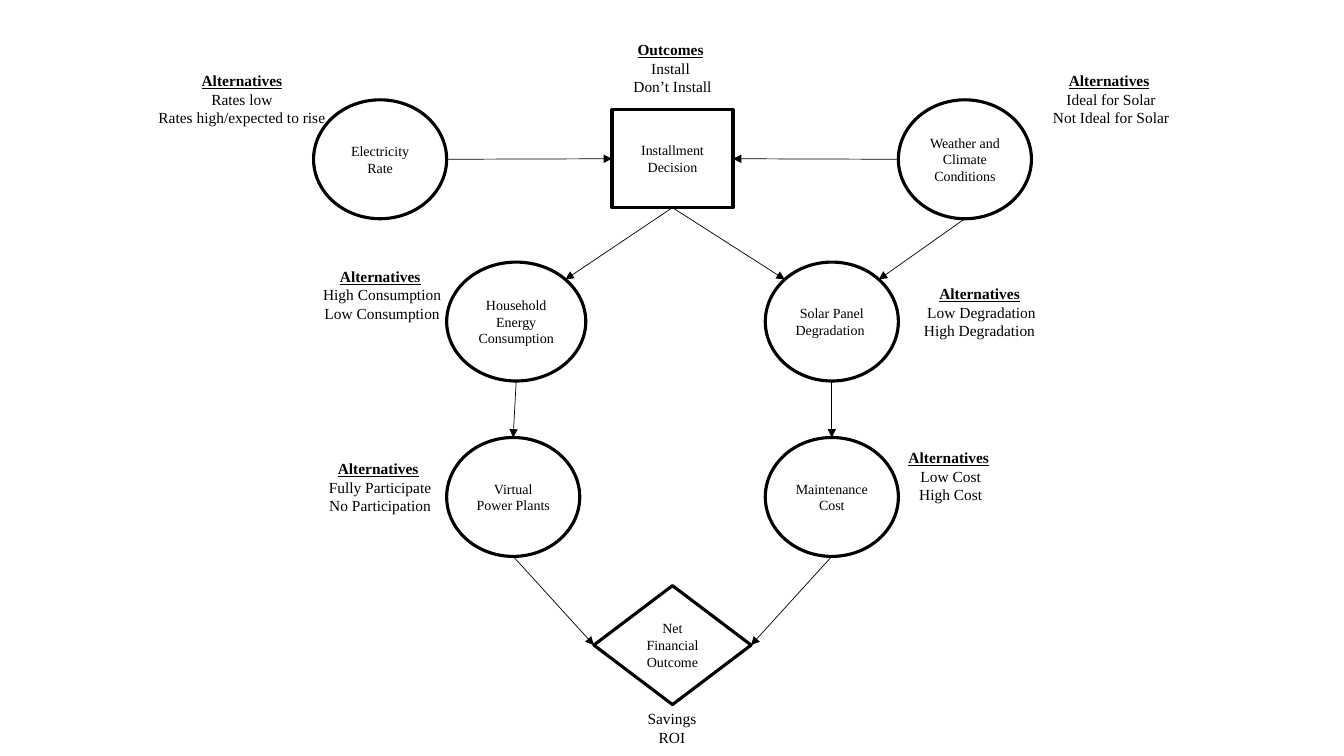
from math import hypot

from lxml import etree
from pptx import Presentation
from pptx import util as u
from pptx.dml.color import RGBColor
from pptx.enum import shapes, text
from pptx.oxml import ns

INK = {"line": "000000", "fill": "FFFFFF", "text": "000000"}
FONT = "Times New Roman"
KIND = shapes.MSO_SHAPE

# name: (kind, left, top, width, height, label)
NODES = {
    "rate": (KIND.OVAL, 3.11, 0.99, 1.32, 1.18, "Electricity Rate"),
    "choice": (KIND.RECTANGLE, 6.07, 1.09, 1.2, 0.97, "Installment Decision"),
    "weather": (KIND.OVAL, 8.91, 0.99, 1.32, 1.18,
                "Weather and Climate Conditions"),
    "panel": (KIND.OVAL, 7.59, 2.6, 1.32, 1.18, "Solar Panel Degradation "),
    "house": (KIND.OVAL, 4.43, 2.6, 1.38, 1.18, "Household Energy Consumption"),
    "plant": (KIND.OVAL, 4.43, 4.34, 1.32, 1.18, "Virtual Power Plants"),
    "cost": (KIND.OVAL, 7.59, 4.34, 1.32, 1.18, "Maintenance Cost"),
    "net": (KIND.DIAMOND, 5.89, 5.81, 1.56, 1.18, "Net Financial Outcome"),
}

# from node and side, to node and side; a side is (x, y) with y downwards
LEFT, RIGHT, TOP, BASE = (-1, 0), (1, 0), (0, -1), (0, 1)
LINKS = [
    ("rate", RIGHT, "choice", LEFT),
    ("weather", LEFT, "choice", RIGHT),
    ("choice", BASE, "house", (1, -1)),
    ("choice", BASE, "panel", (-1, -1)),
    ("weather", BASE, "panel", (1, -1)),
    ("house", BASE, "plant", TOP),
    ("panel", BASE, "cost", TOP),
    ("plant", BASE, "net", LEFT),
    ("cost", BASE, "net", RIGHT),
]

# left, top, width, height, heading, space after the heading, lines
NOTES = [
    (1.47, 0.66, 1.86, 0.66, "Alternatives", "",
     ["Rates low", "Rates high/expected to rise"]),
    (6.18, 0.35, 0.98, 0.66, "Outcomes", " ", ["Install ", "Don’t Install"]),
    (10.34, 0.66, 1.36, 0.66, "Alternatives", " ",
     ["Ideal for Solar", "Not Ideal for Solar"]),
    (3.1, 2.6, 1.38, 0.66, "Alternatives", " ",
     ["High Consumption", "Low Consumption"]),
    (8.91, 4.4, 1.04, 0.66, "Alternatives", " ", ["Low Cost", "High Cost"]),
    (3.16, 4.51, 1.22, 0.66, "Alternatives", " ",
     ["Fully Participate", "No Participation"]),
    (9.06, 2.77, 1.35, 0.66, "Alternatives", " ",
     ["Low Degradation", "High Degradation "]),
    (6.32, 6.99, 0.69, 0.47, "", "", ["Savings", "ROI"]),
]


def tint(name):
    return RGBColor.from_string(INK[name])


def add_run(para, words, size, strong=False):
    run = para.add_run()
    run.text = words
    font = run.font
    font.name, font.size = FONT, u.Pt(size)
    font.bold = font.underline = strong
    font.color.rgb = tint("text")


def add_node(slide, kind, left, top, width, height, label):
    node = slide.shapes.add_shape(
        kind, *map(u.Inches, (left, top, width, height)))
    node.shadow.inherit = False
    node.fill.solid()
    node.fill.fore_color.rgb = tint("fill")
    node.line.color.rgb = tint("line")
    node.line.width = u.Pt(2.25)
    frame = node.text_frame
    frame.word_wrap = True
    frame.vertical_anchor = text.MSO_ANCHOR.MIDDLE
    para = frame.paragraphs[0]
    para.alignment = text.PP_ALIGN.CENTER
    add_run(para, label, 10)


def find_edge(name, side):
    """Return the point on a node's outline that lies towards a side."""
    left, top, width, height = NODES[name][1:5]
    reach = hypot(*side)
    return (u.Inches(left + width / 2 * (1 + side[0] / reach)),
            u.Inches(top + height / 2 * (1 + side[1] / reach)))


def add_link(slide, start, exit_side, end, entry):
    link = slide.shapes.add_connector(
        shapes.MSO_CONNECTOR.STRAIGHT,
        *find_edge(start, exit_side), *find_edge(end, entry))
    link.line.color.rgb = tint("line")
    link.line.width = u.Pt(0.5)
    etree.SubElement(link.line._get_or_add_ln(), ns.qn("a:tailEnd"),
                     type="triangle")
    etree.SubElement(link._element.spPr, ns.qn("a:effectLst"))


def add_note(slide, left, top, width, height, head, gap, lines):
    box = slide.shapes.add_textbox(
        *map(u.Inches, (left, top, width, height)))
    frame = box.text_frame
    frame.word_wrap = False
    frame.auto_size = text.MSO_AUTO_SIZE.SHAPE_TO_FIT_TEXT
    rows = [head, *lines] if head else lines
    for i, words in enumerate(rows):
        para = frame.add_paragraph() if i else frame.paragraphs[0]
        para.alignment = text.PP_ALIGN.CENTER
        add_run(para, words, 11, words == head)
        if words == head and gap:
            add_run(para, gap, 11)


def main():
    deck = Presentation()
    deck.slide_width, deck.slide_height = u.Inches(13.33), u.Inches(7.5)
    slide = deck.slides.add_slide(deck.slide_layouts[6])
    for node in NODES.values():
        add_node(slide, *node)
    for link in LINKS:
        add_link(slide, *link)
    for note in NOTES:
        add_note(slide, *note)
    deck.save("out.pptx")


if __name__ == "__main__":
    main()
